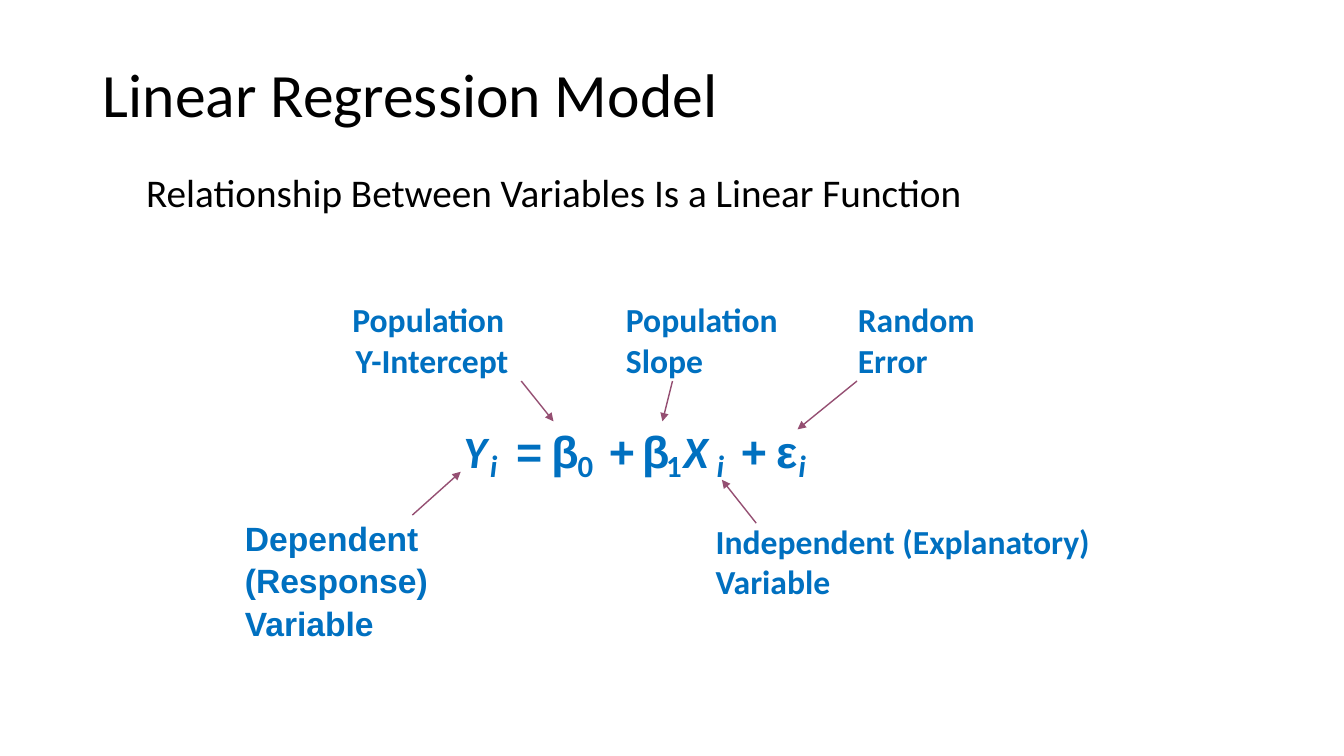
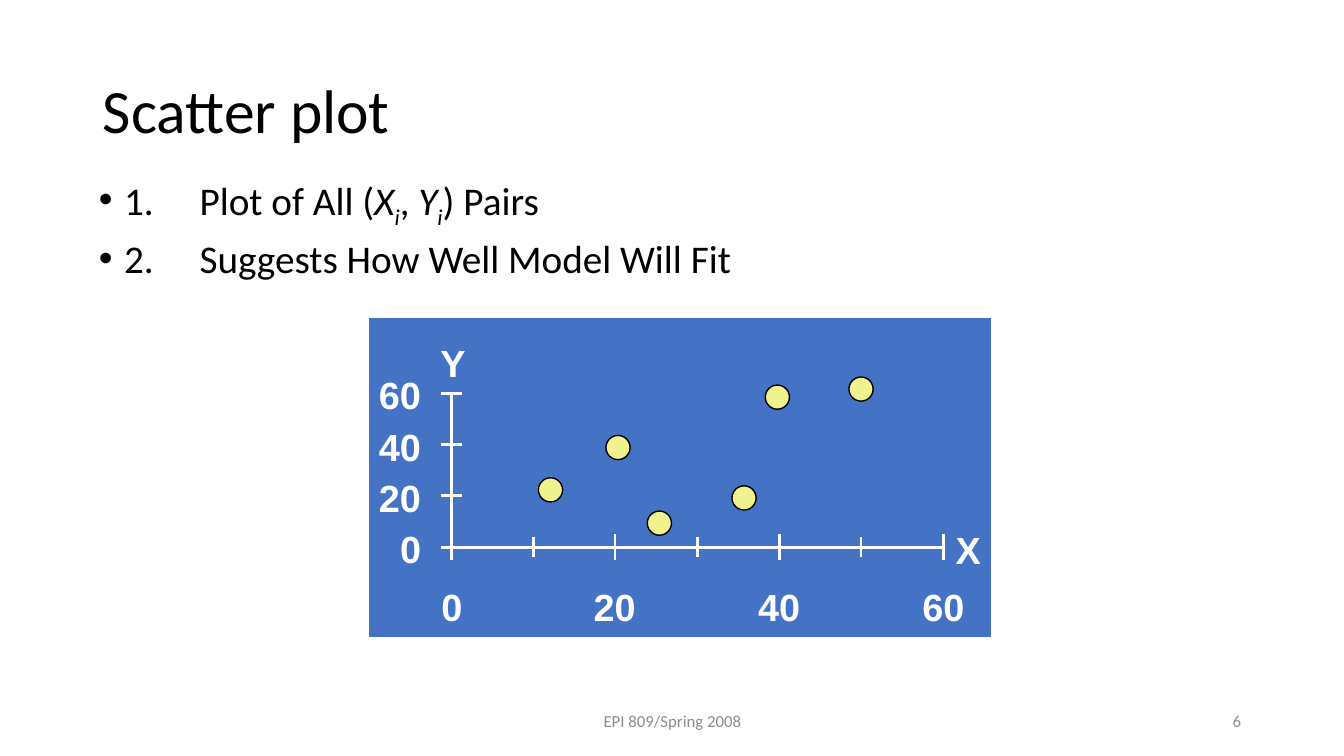
"""Build two slides that introduce linear regression and scatter plots."""

from typing import NamedTuple

import lxml.etree
import pptx
import pptx.dml.color
import pptx.enum.shapes
import pptx.enum.text
import pptx.oxml.ns
import pptx.util

PX = 9144
WIDE, HIGH = 1333, 750
BLACK, WHITE, GRAY = "000000", "FFFFFF", "8C8C8C"
BLUE, PANEL, PLUM, LEMON = "0070C0", "4472C4", "954F72", "F0F28D"
SANS, BODY = "Arial", "Calibri"

ALIGN = pptx.enum.text.PP_ALIGN
ANCHOR = pptx.enum.text.MSO_ANCHOR
FIT = pptx.enum.text.MSO_AUTO_SIZE
SHAPE = pptx.enum.shapes.MSO_SHAPE


class Rect(NamedTuple):
    left: int
    top: int
    width: int
    height: int


class Glyph(NamedTuple):
    text: str
    left: int
    width: int
    sub: bool = False
    font: str = SANS
    italic: bool = False


class Label(NamedTuple):
    text: str
    rect: Rect
    font: str = BODY
    align: ALIGN = ALIGN.LEFT
    pitch: float = 1.0


class Line(NamedTuple):
    x1: int
    y1: int
    x2: int
    y2: int


class Dot(NamedTuple):
    x: int
    y: int


FORMULA = [
    Glyph("Y", 450, 43, font=BODY, italic=True),
    Glyph("i", 476, 28, True, BODY, True),
    Glyph("=", 502, 45),
    Glyph("β", 537, 45),
    Glyph("0", 563, 36, True, BODY),
    Glyph("+", 594, 45),
    Glyph("β", 627, 45),
    Glyph("1", 651, 36, True, BODY),
    Glyph("X", 668, 45, font=BODY, italic=True),
    Glyph("i", 701, 28, True, BODY, True),
    Glyph("+", 725, 45),
    Glyph("ε", 760, 40),
    Glyph("i", 782, 28, True, BODY, True),
]
LABELS = [
    Label("Dependent (Response) Variable", Rect(233, 507, 241, 131), SANS, pitch=1.05),
    Label("Independent (Explanatory) Variable", Rect(700, 512, 408, 91)),
    Label("Population Slope", Rect(611, 292, 197, 91)),
    Label("Population \vY-Intercept", Rect(308, 292, 241, 91), align=ALIGN.CENTER),
    Label("Random Error", Rect(841, 292, 174, 91)),
]
ARROWS = [
    Line(409, 511, 457, 468),
    Line(750, 519, 716, 476),
    Line(517, 378, 549, 418),
    Line(667, 378, 657, 418),
    Line(850, 378, 791, 426),
]
DOTS = [Dot(654, 519), Dot(854, 386), Dot(613, 444),
        Dot(771, 394), Dot(738, 494), Dot(546, 486)]


def emu(px: int) -> int:
    """Turn px into EMU."""
    return pptx.util.Emu(px * PX)


def color(code: str) -> pptx.dml.color.RGBColor:
    """Turn a hex string into a colour."""
    return pptx.dml.color.RGBColor.from_string(code)


def node(parent, tag: str, **attrs: str):
    """Append an XML element to a parent."""
    return lxml.etree.SubElement(parent, pptx.oxml.ns.qn(tag), attrs)


def write(para, text: str, *, size: float, fill: str = BLACK, font: str = BODY,
          bold: bool = False, italic: bool = False, base: int = 0) -> None:
    """Add formatted text to a paragraph, with \\v as a line break."""
    for count, piece in enumerate(text.split("\v")):
        if count:
            para.add_line_break()
        run = para.add_run()
        run.text = piece
        face = run.font
        face.name, face.size = font, pptx.util.Pt(size)
        face.bold, face.italic = bold, italic
        face.color.rgb = color(fill)
        if base:
            run._r.get_or_add_rPr().set("baseline", str(base))


def label(slide, text: str, rect: Rect, *, wrap: bool = True, align: ALIGN = ALIGN.LEFT,
          anchor: ANCHOR = ANCHOR.TOP, fit: FIT = FIT.SHAPE_TO_FIT_TEXT,
          pitch: float = 1.0, **style) -> None:
    """Add a text box."""
    frame = slide.shapes.add_textbox(*map(emu, rect)).text_frame
    frame.word_wrap, frame.auto_size = wrap, fit
    frame.vertical_anchor = anchor
    para = frame.paragraphs[0]
    para.alignment, para.line_spacing = align, pitch
    write(para, text, **style)


def place(holder, rect: Rect, anchor: ANCHOR):
    """Move a placeholder and return its text frame."""
    holder.left, holder.top, holder.width, holder.height = map(emu, rect)
    frame = holder.text_frame
    frame.word_wrap, frame.auto_size = True, FIT.NONE
    frame.vertical_anchor = anchor
    return frame


def start(deck, title: str, height: int, anchor: ANCHOR):
    """Add a slide with the shared title style."""
    slide = deck.slides.add_slide(deck.slide_layouts[1])
    frame = place(slide.shapes.title, Rect(92, 40, 1150, height), anchor)
    para = frame.paragraphs[0]
    para.alignment, para.line_spacing = ALIGN.LEFT, 0.9
    write(para, title, size=44)
    return slide


def fill(slide, rect: Rect, rows: list, bullet: bool) -> None:
    """Fill the body placeholder with rows of text and style pairs."""
    frame = place(slide.placeholders[1], rect, ANCHOR.TOP)
    inset = 25 * PX if bullet else 0
    for count, row in enumerate(rows):
        para = frame.add_paragraph() if count else frame.paragraphs[0]
        props = para._p.get_or_add_pPr()
        props.set("marL", str(inset))
        props.set("indent", str(-inset))
        props.set("defTabSz", str(100 * PX))
        if bullet:
            node(props, "a:buFont", typeface=SANS)
            node(props, "a:buChar", char="•")
        else:
            node(props, "a:buNone")
        para.line_spacing = 0.9
        para.space_before = pptx.util.Pt(10 if count else 0)
        for text, style in row:
            write(para, text, size=28, **style)


def rule(slide, line: Line, ink: str, width: float, arrow: bool = False) -> None:
    """Draw a straight line, with an arrowhead if asked."""
    kind = pptx.enum.shapes.MSO_CONNECTOR.STRAIGHT
    link = slide.shapes.add_connector(kind, *map(emu, line))
    link.line.color.rgb = color(ink)
    link.line.width = pptx.util.Pt(width)
    if arrow:
        node(link.line._get_or_add_ln(), "a:tailEnd", type="triangle")
    node(link._element.spPr, "a:effectLst")


def shape(slide, kind: SHAPE, rect: Rect, paint: str, ink: str) -> None:
    """Draw a filled preset shape."""
    form = slide.shapes.add_shape(kind, *map(emu, rect))
    form.shadow.inherit = False
    form.fill.solid()
    form.fill.fore_color.rgb = color(paint)
    form.line.color.rgb = color(ink)
    form.line.width = pptx.util.Pt(1)


def footer(slide, text: str, page: int) -> None:
    """Add the footer text and the page number."""
    parts = [(text, Rect(442, 695, 450, 40), ALIGN.CENTER),
             (str(page), Rect(941, 695, 300, 40), ALIGN.RIGHT)]
    for words, rect, align in parts:
        label(slide, words, rect, align=align, anchor=ANCHOR.MIDDLE,
              fit=FIT.NONE, size=12, fill=GRAY)


def model(deck) -> None:
    """Build the slide with the labelled regression formula."""
    slide = start(deck, "Linear Regression Model", 95, ANCHOR.BOTTOM)
    fill(slide, Rect(135, 167, 984, 64),
         [[("Relationship Between Variables Is a Linear Function", {})]], False)
    for glyph in FORMULA:
        top, height, size = (438, 47, 22) if glyph.sub else (415, 64, 32)
        label(slide, glyph.text, Rect(glyph.left, top, glyph.width, height), wrap=False,
              size=size, fill=BLUE, font=glyph.font, bold=True, italic=glyph.italic)
    for item in LABELS:
        label(slide, item.text, item.rect, align=item.align, pitch=item.pitch,
              size=24, fill=BLUE, font=item.font, bold=True)
    for arrow in ARROWS:
        rule(slide, arrow, PLUM, 1, arrow=True)


def plot(slide) -> None:
    """Draw the scatter plot on its panel."""
    left, base, span, rise, top = 448, 543, 488, 153, 60
    mark = {"wrap": False, "size": 27, "fill": WHITE, "font": SANS, "bold": True}
    shape(slide, SHAPE.RECTANGLE, Rect(365, 315, 619, 318), PANEL, WHITE)
    rule(slide, Line(left, base - rise, left, base), WHITE, 2)
    rule(slide, Line(left, base, left + span, base), WHITE, 2)
    for value in range(0, top + 1, 10):
        x = left + value * span // top
        major = value % 20 == 0
        reach = 13 if major else 10
        rule(slide, Line(x, base + reach, x, base - reach), WHITE, 2)
        if major:
            y = base - value * rise // top
            text = str(value)
            width = 20 + 21 * len(text)
            rule(slide, Line(left - 11, y, left + 10, y), WHITE, 2)
            label(slide, text, Rect(428 - width, y - 26, width, 55), **mark)
            label(slide, text, Rect(x - width // 2, 574, width, 55), **mark)
    label(slide, "X", Rect(938, 518, 45, 55), **mark)
    label(slide, "Y", Rect(427, 332, 45, 55), **mark)
    for dot in DOTS:
        shape(slide, SHAPE.OVAL, Rect(dot.x - 12, dot.y - 12, 24, 24), LEMON, BLACK)


def scatter(deck) -> None:
    """Build the scatter plot slide."""
    slide = start(deck, "Scatter plot", 145, ANCHOR.MIDDLE)
    slant = {"italic": True}
    sub = {"italic": True, "base": -25000}
    rows = [
        [("1.\tPlot of All (", {}), ("X", slant), ("i", sub), (", ", {}),
         ("Y", slant), ("i", sub), (") Pairs", {})],
        [("2.\tSuggests How Well Model Will Fit", {})],
    ]
    fill(slide, Rect(88, 171, 1150, 476), rows, True)
    plot(slide)
    footer(slide, "EPI 809/Spring 2008", 6)


def main() -> None:
    """Build and save the deck."""
    deck = pptx.Presentation()
    deck.slide_width, deck.slide_height = emu(WIDE), emu(HIGH)
    model(deck)
    scatter(deck)
    deck.save("out.pptx")


if __name__ == "__main__":
    main()
